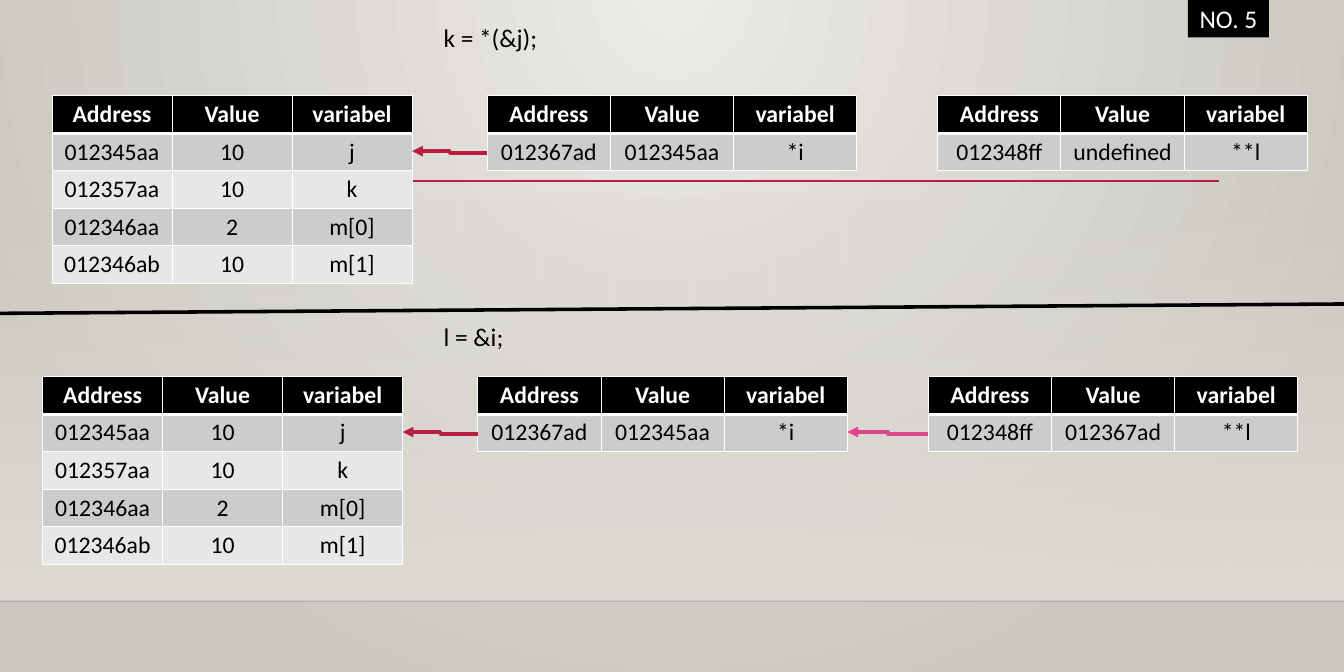
from pptx import Presentation
from pptx.util import Inches, Pt
from pptx.dml.color import RGBColor
from pptx.enum.shapes import MSO_CONNECTOR as CONN, MSO_SHAPE as SHAPE
from pptx.enum.text import MSO_ANCHOR as ANCHOR, PP_ALIGN as ALIGN
from pptx.oxml import parse_xml
from pptx.oxml.ns import nsdecls, qn
from pptx.oxml.xmlchemy import OxmlElement

# Content
LABEL = "NO. 5"
HEADER = ("Address", "Value", "variabel")
VALUES = [
    ("012345aa", "10", "j"),
    ("012357aa", "10", "k"),
    ("012346aa", "2", "m[0]"),
    ("012346ab", "10", "m[1]"),
]
POINTER = [("012367ad", "012345aa", "*i")]
# Statement, its top, left and top of the tables, rows of each table, arrow colours
STEPS = [
    ("k = *(&j);", 0.21, 0.61, 1.12,
     [VALUES, POINTER, [("012348ff", "undefined", "**l")]], ["red"]),
    ("l = &i;", 3.71, 0.5, 4.41,
     [VALUES, POINTER, [("012348ff", "012367ad", "**l")]], ["red", "pink"]),
]

THEME = {
    "font": "Calibri", "label": 21.4, "cell": 20,
    "black": "000000", "white": "FFFFFF", "red": "B71E42", "pink": "DE478E",
    "floor": "DFDBD5", "glow": "ECEAE7", "edge": "CAC7C1",
    "bands": ("CCCCCC", "E7E7E7"),
}
WIDTH, HEIGHT = 15.75, 7.87
FLOOR_Y = 7.04
ROW_H = 0.44
TABLE_OFFSETS = (0, 5.1, 10.38)
TABLE_WIDTHS = (4.22, 4.33, 4.33)


def rgb(name):
    return RGBColor.from_string(THEME.get(name, name))


def set_gradient(fill, root, stops, shade):
    """Replace a fill by a gradient; stops are (position, colour, opacity)."""
    fill.solid()
    marks = "".join(
        f'<a:gs pos="{pos * 1000}"><a:srgbClr val="{THEME[color]}">'
        f'<a:alpha val="{alpha * 1000}"/></a:srgbClr></a:gs>'
        for pos, color, alpha in stops)
    old = next(root.iter(qn("a:solidFill")))
    old.getparent().replace(old, parse_xml(
        f'<a:gradFill {nsdecls("a")} rotWithShape="1">'
        f'<a:gsLst>{marks}</a:gsLst>{shade}</a:gradFill>'))


def write(tf, text, size, color, align=ALIGN.LEFT, bold=False):
    p = tf.paragraphs[0]
    p.alignment = align
    r = p.add_run()
    r.text = text
    style = {"name": THEME["font"], "size": Pt(size), "bold": bold}
    for key, value in style.items():
        setattr(r.font, key, value)
    r.font.color.rgb = rgb(color)


def add_line(start, end, color, width, kind=CONN.STRAIGHT, arrow=False, opacity=None):
    s = shapes.add_connector(kind, *map(Inches, (*start, *end)))
    s.line.width = Pt(width)
    s.line.color.rgb = rgb(color)
    sp_pr = s._element.spPr
    if opacity is not None:
        alpha = OxmlElement("a:alpha")
        alpha.set("val", str(opacity * 1000))
        next(sp_pr.iter(qn("a:srgbClr"))).append(alpha)
    if arrow:
        tail = OxmlElement("a:tailEnd")
        tail.set("type", "triangle")
        sp_pr.find(qn("a:ln")).append(tail)
    sp_pr.append(OxmlElement("a:effectLst"))


def add_statement(text, top):
    s = shapes.add_textbox(*map(Inches, (5.1, top, 6.19, 0.46)))
    s.text_frame.word_wrap = True
    write(s.text_frame, text, THEME["label"], "black")


def set_borders(cell, bottom):
    tc_pr = cell._tc.get_or_add_tcPr()
    for index, (side, width) in enumerate(zip("LRTB", (1, 1, 1, bottom))):
        tc_pr.insert(index, parse_xml(
            f'<a:ln{side} {nsdecls("a")} w="{Pt(width)}"><a:solidFill>'
            f'<a:srgbClr val="{THEME["white"]}"/></a:solidFill></a:ln{side}>'))


def add_memory(rows, left, top, width):
    rows = [HEADER, *rows]
    size = (width, ROW_H * len(rows))
    table = shapes.add_table(len(rows), len(HEADER),
                             *map(Inches, (left, top, *size))).table
    for i, row in enumerate(rows):
        head = i == 0
        for j, text in enumerate(row):
            cell = table.cell(i, j)
            cell.fill.solid()
            cell.fill.fore_color.rgb = rgb("black" if head else THEME["bands"][(i - 1) % 2])
            set_borders(cell, 3 if head else 1)
            write(cell.text_frame, text, THEME["cell"],
                  "white" if head else "black", ALIGN.CENTER, head)


prs = Presentation()
prs.slide_width, prs.slide_height = Inches(WIDTH), Inches(HEIGHT)
slide = prs.slides.add_slide(prs.slide_layouts[6])
shapes = slide.shapes

# Background and floor
set_gradient(slide.background.fill, slide.element,
             [(0, "glow", 100), (100, "edge", 100)],
             '<a:path path="circle"><a:fillToRect l="43000" r="43000" b="100000"/></a:path>')
wall = shapes.add_shape(SHAPE.RECTANGLE, *map(Inches, (0, 2.32, WIDTH, 4.71)))
wall.shadow.inherit = False
wall.line.fill.background()
set_gradient(wall.fill, wall._element.spPr,
             [(0, "floor", 0), (100, "floor", 100)], '<a:lin ang="5400000" scaled="0"/>')
add_line((0, FLOOR_Y), (WIDTH, FLOOR_Y), "black", 1, opacity=20)
add_line((1.88, 2.12), (14.29, 2.12), "red", 2.5)

# Slide label
label = shapes.add_shape(SHAPE.RECTANGLE, *map(Inches, (13.92, -0.02, 0.95, 0.46)))
label.shadow.inherit = False
label.fill.solid()
label.fill.fore_color.rgb = rgb("black")
label.line.fill.background()
label.text_frame.vertical_anchor = ANCHOR.MIDDLE
label.text_frame.word_wrap = False
write(label.text_frame, LABEL, THEME["label"], "white", ALIGN.CENTER)

# Divider between the two steps
add_line((0, 3.67), (WIDTH, 3.56), "black", 3)

# Statements, memory tables and pointer arrows
for text, text_top, left, top, tables, arrows in STEPS:
    add_statement(text, text_top)
    lefts = [left + offset for offset in TABLE_OFFSETS]
    for rows, x, width in zip(tables, lefts, TABLE_WIDTHS):
        add_memory(rows, x, top, width)
    for color, x, width, source in zip(arrows, lefts, TABLE_WIDTHS, lefts[1:]):
        add_line((source, top + 0.67), (x + width, top + 0.65), color, 3,
                 CONN.ELBOW, arrow=True)

prs.save("out.pptx")
